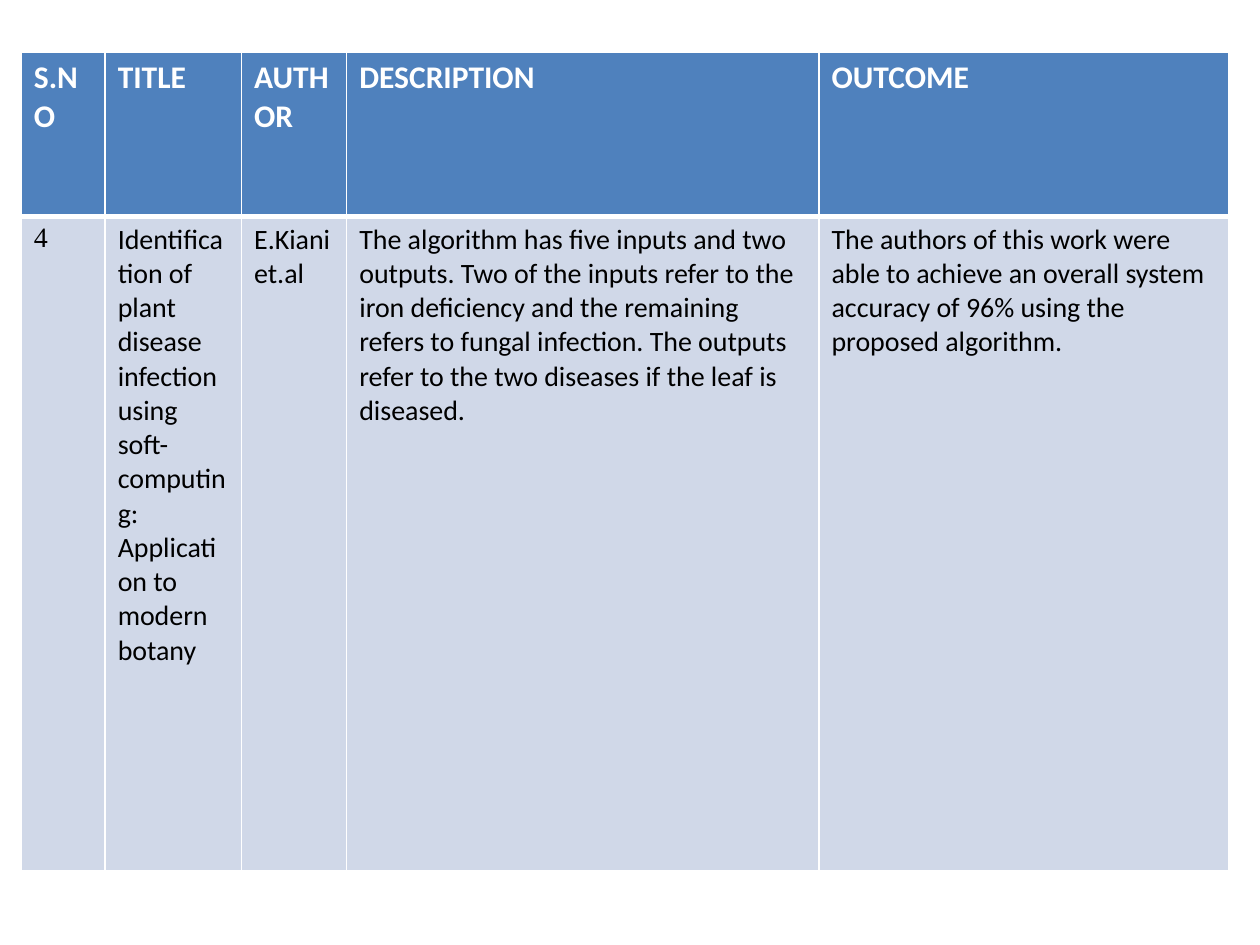
from lxml import etree
from pptx import Presentation
from pptx import util as u
from pptx.dml.color import RGBColor
from pptx.oxml import ns

COLORS = {"header": "4F81BD", "body": "D0D8E8", "border": "FFFFFF",
          "header_text": "FFFFFF", "body_text": "000000"}
COLUMN_WIDTHS = [1.69, 2.75, 2.12, 9.52, 8.26]
ROW_HEIGHTS = [3.3, 13.2]
HEADINGS = ["S.NO", "TITLE", "AUTHOR", "DESCRIPTION", "OUTCOME"]
SURVEY_ENTRY = [
    "4",
    "Identification of plant disease infection using soft-computing: "
    "Application to modern botany",
    "E.Kiani et.al",
    "The algorithm has five inputs and two outputs. Two of the inputs refer to "
    "the iron deficiency and the remaining refers to fungal infection. The "
    "outputs refer to the two diseases if the leaf is diseased.",
    "The authors of this work were able to achieve an overall system accuracy "
    "of 96% using the proposed algorithm.",
]


def set_borders(cell, widths):
    """Draw left, right, top and bottom borders; widths are in points."""
    properties = cell._tc.get_or_add_tcPr()
    for position, (side, width) in enumerate(zip("LRTB", widths)):
        line = etree.Element(ns.qn(f"a:ln{side}"), w=str(u.Pt(width)))
        fill = etree.SubElement(line, ns.qn("a:solidFill"))
        etree.SubElement(fill, ns.qn("a:srgbClr"), val=COLORS["border"])
        properties.insert(position, line)


def fill_cell(cell, text, kind, size, font_name):
    cell.fill.solid()
    cell.fill.fore_color.rgb = RGBColor.from_string(COLORS[kind])
    cell.text = text
    font = cell.text_frame.paragraphs[0].font
    font.name = font_name
    font.size = u.Pt(size)
    font.bold = kind == "header"
    font.color.rgb = RGBColor.from_string(COLORS[f"{kind}_text"])


def add_survey_table(slide, left, top, width, height):
    frame = slide.shapes.add_table(
        len(ROW_HEIGHTS), len(COLUMN_WIDTHS),
        u.Cm(left), u.Cm(top), u.Cm(width), u.Cm(height))
    table = frame.table
    for column, column_width in zip(table.columns, COLUMN_WIDTHS):
        column.width = u.Cm(column_width)
    for row, row_height in zip(table.rows, ROW_HEIGHTS):
        row.height = u.Cm(row_height)

    for index, (heading, entry) in enumerate(zip(HEADINGS, SURVEY_ENTRY)):
        # Header row, with a thick rule below it
        header_cell = table.cell(0, index)
        fill_cell(header_cell, heading, "header", 18, "Calibri")
        set_borders(header_cell, (1, 1, 1, 3))
        # Survey entry; the serial number has its own font
        body_cell = table.cell(1, index)
        body_font = "Times New Roman" if index == 0 else "Calibri"
        fill_cell(body_cell, entry, "body", 16, body_font)
        set_borders(body_cell, (1, 1, 3, 1))


def main():
    presentation = Presentation()
    presentation.slide_width = u.Cm(25.4)
    presentation.slide_height = u.Cm(19.05)
    slide = presentation.slides.add_slide(presentation.slide_layouts[6])
    add_survey_table(slide, 0.43, 1.06, sum(COLUMN_WIDTHS), sum(ROW_HEIGHTS))
    presentation.save("out.pptx")


if __name__ == "__main__":
    main()
